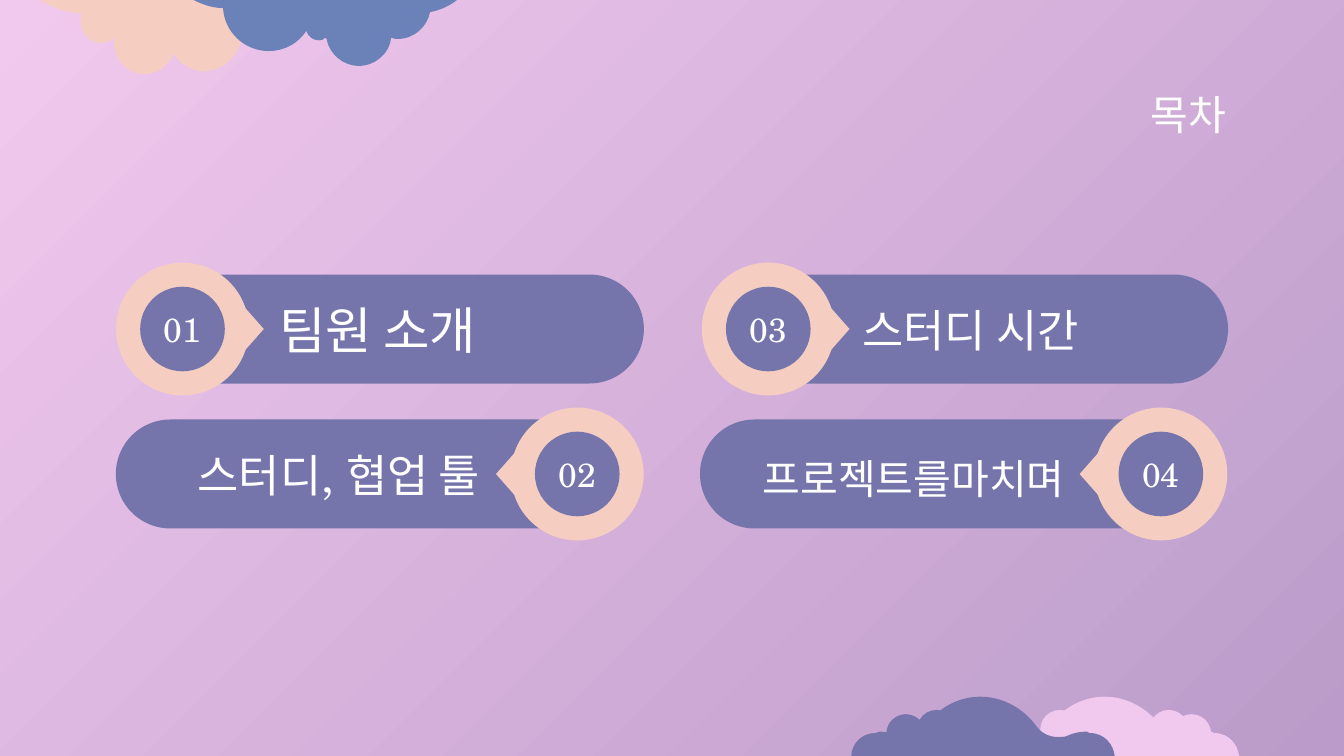
import dataclasses

import lxml.etree
import pptx
import pptx.dml.color
import pptx.enum.shapes
import pptx.enum.text
import pptx.oxml.ns
import pptx.util

Cm = pptx.util.Cm
SHAPE = pptx.enum.shapes.MSO_SHAPE
ALIGN = pptx.enum.text.PP_ALIGN
qn = pptx.oxml.ns.qn

COLORS = {
    "pink": "F2C9EE",
    "mauve": "BA9BC9",
    "peach": "F5CEC1",
    "blue": "6B82B8",
    "violet": "7575AC",
    "white": "FFFFFF",
}
FONT = "TeX Gyre Schola"
BAR_H, RING_D, CORE_D = 2.06, 2.51, 1.6
POINTER_W, POINTER_H = 1.27, 0.56
NUMBER_H, INSET = 1.14, 0.25
BUMP_D = 0.74
CLOUD_UNIT = Cm(2.54) / 100


@dataclasses.dataclass(frozen=True)
class Cloud:
    color: str
    left: float
    top: float
    start: tuple
    segments: tuple
    bumps: tuple = ()


@dataclasses.dataclass(frozen=True)
class Item:
    number: str
    label: str
    size: int
    bar_left: float
    bar_width: float
    ring_x: float
    y: float
    points_right: bool
    label_box: tuple


BOTTOM_START = (96, 0)
BOTTOM_SEGMENTS = (
    (80, 0, 65, 8, 56, 21), (52, 26, 46, 29, 39, 29), (37, 29, 35, 29, 33, 28),
    (29, 27, 25, 26, 21, 26), (20, 26, 19, 27, 18, 27), (7, 27, 0, 36, 0, 44),
    (196, 44),
    (195, 36, 189, 27, 177, 27), (177, 27, 176, 26, 175, 26), (170, 26, 165, 27, 161, 29),
    (159, 30, 156, 30, 154, 30), (147, 30, 141, 27, 137, 21), (128, 9, 113, 0, 96, 0),
)

CLOUDS = (
    Cloud("peach", 0, 0, (108, 55), (
        (117, 55, 126, 49, 129, 40), (134, 47, 141, 52, 150, 53), (151, 53, 151, 53, 152, 53),
        (166, 53, 179, 41, 180, 26), (180, 25, 180, 24, 180, 23), (186, 20, 190, 15, 192, 9),
        (195, 10, 198, 10, 201, 10), (217, 10, 225, 0, 225, 0),
        (29, 0),
        (42, 7, 52, 10, 61, 10), (60, 12, 60, 14, 60, 16), (60, 25, 67, 32, 75, 32),
        (79, 32, 82, 31, 85, 28), (85, 29, 85, 29, 85, 29), (84, 43, 93, 54, 106, 55),
        (107, 55, 107, 55, 108, 55),
    )),
    Cloud("blue", 0, 0, (267, 49), (
        (279, 49, 290, 40, 291, 28), (293, 29, 295, 29, 296, 29), (308, 29, 318, 20, 320, 9),
        (332, 7, 340, 0, 340, 0),
        (144, 0),
        (154, 5, 161, 6, 166, 6), (167, 24, 182, 38, 200, 38), (212, 38, 222, 32, 228, 23),
        (229, 27, 233, 30, 237, 30), (239, 30, 241, 30, 242, 28), (243, 28, 243, 29, 243, 29),
        (245, 40, 255, 49, 267, 49),
    )),
    Cloud("pink", 18.44, 13.17, BOTTOM_START, BOTTOM_SEGMENTS,
          ((1.22, 0.25), (3.28, 0.25), (3.71, 0.33))),
    Cloud("violet", 16.09, 13.17, BOTTOM_START, BOTTOM_SEGMENTS,
          ((0.66, 0.33), (1.24, 0.25))),
)

ROW_1, ROW_2 = 6.22, 8.96
ITEMS = (
    Item("01", "팀원 소개", 27, 2.62, 9.55, 3.45, ROW_1, True, (5.03, 5.51, 6.68, 1.45)),
    Item("02", "스터디, 협업 툴", 24, 2.19, 9.55, 10.91, ROW_2, False, (2.87, 8.24, 6.45, 1.45)),
    Item("03", "스터디 시간", 24, 14.04, 9.17, 14.52, ROW_1, True, (16.05, 5.24, 8.53, 1.98)),
    Item("04", "프로젝트를마치며", 22, 13.23, 9.55, 21.94, ROW_2, False, (12.9, 8.23, 7.47, 1.6)),
)


def rgb(name: str) -> pptx.dml.color.RGBColor:
    return pptx.dml.color.RGBColor.from_string(COLORS[name])


def paint(sp, color: str) -> None:
    sp.shadow.inherit = False
    sp.fill.solid()
    sp.fill.fore_color.rgb = rgb(color)
    sp.line.fill.background()


def add_centered(s, kind, x: float, y: float, w: float, h: float, color: str):
    sp = s.shapes.add_shape(kind, Cm(x - w / 2), Cm(y - h / 2), Cm(w), Cm(h))
    paint(sp, color)
    return sp


def write(sp, text: str, size: int, align) -> None:
    tf = sp.text_frame
    tf.text = text
    tf.word_wrap = True
    tf.auto_size = pptx.enum.text.MSO_AUTO_SIZE.NONE
    tf.vertical_anchor = pptx.enum.text.MSO_ANCHOR.MIDDLE
    tf.margin_left = tf.margin_right = tf.margin_top = tf.margin_bottom = Cm(INSET)
    p = tf.paragraphs[0]
    p.alignment = align
    r = p.runs[0]
    r.font.name = FONT
    r.font.size = pptx.util.Pt(size)
    r.font.color.rgb = rgb("white")


def add_text(s, box: tuple, text: str, size: int, align) -> None:
    write(s.shapes.add_textbox(*map(Cm, box)), text, size, align)


def curve_outline(sp, segments: tuple) -> None:
    lines = iter(list(sp.element.iter(qn("a:lnTo"))))
    for segment in segments:
        parts = [next(lines) for _ in range(len(segment) // 2)]
        if len(parts) == 1:
            continue
        curve = lxml.etree.Element(qn("a:cubicBezTo"))
        parts[0].addprevious(curve)
        for part in parts:
            curve.append(part[0])
            part.getparent().remove(part)


def draw_cloud(s, cloud: Cloud) -> None:
    pairs = [cloud.start]
    for segment in cloud.segments:
        pairs.extend(zip(segment[::2], segment[1::2]))
    points = [(Cm(cloud.left) + x * CLOUD_UNIT, Cm(cloud.top) + y * CLOUD_UNIT)
              for x, y in pairs]
    builder = s.shapes.build_freeform(*points[0], scale=1.0)
    builder.add_line_segments(points[1:], close=True)
    sp = builder.convert_to_shape()
    curve_outline(sp, cloud.segments)
    paint(sp, cloud.color)
    for dx, dy in cloud.bumps:
        add_centered(s, SHAPE.OVAL, cloud.left + dx + BUMP_D / 2,
                     cloud.top + dy + BUMP_D / 2, BUMP_D, BUMP_D, cloud.color)


def draw_item(s, item: Item) -> None:
    x, y = item.ring_x, item.y
    side = 1 if item.points_right else -1
    bar = add_centered(s, SHAPE.ROUNDED_RECTANGLE, item.bar_left + item.bar_width / 2, y,
                       item.bar_width, BAR_H, "violet")
    bar.adjustments[0] = 0.5
    add_centered(s, SHAPE.OVAL, x, y, RING_D, RING_D, "peach")
    pointer = add_centered(s, SHAPE.ISOSCELES_TRIANGLE, x + side * RING_D / 2, y,
                           POINTER_W, POINTER_H, "peach")
    pointer.rotation = 90 * side % 360
    add_centered(s, SHAPE.OVAL, x, y, CORE_D, CORE_D, "violet")
    add_text(s, (x - CORE_D / 2, y - NUMBER_H / 2, CORE_D, NUMBER_H),
             item.number, 18, ALIGN.CENTER)
    add_text(s, item.label_box, item.label, item.size,
             ALIGN.LEFT if item.points_right else ALIGN.RIGHT)


def main() -> None:
    prs = pptx.Presentation()
    prs.slide_width, prs.slide_height = Cm(25.4), Cm(14.29)
    s = prs.slides.add_slide(prs.slide_layouts[5])

    fill = s.background.fill
    fill.gradient()
    fill.gradient_angle = 315
    for stop, color in zip(fill.gradient_stops, ("pink", "mauve")):
        stop.color.rgb = rgb(color)

    for cloud in CLOUDS:
        draw_cloud(s, cloud)
    for item in ITEMS:
        draw_item(s, item)

    title = s.shapes.title
    title.left, title.top, title.width, title.height = map(Cm, (1.98, 1.49, 21.44, 1.35))
    write(title, "목차", 22, ALIGN.RIGHT)
    prs.save("out.pptx")


if __name__ == "__main__":
    main()
